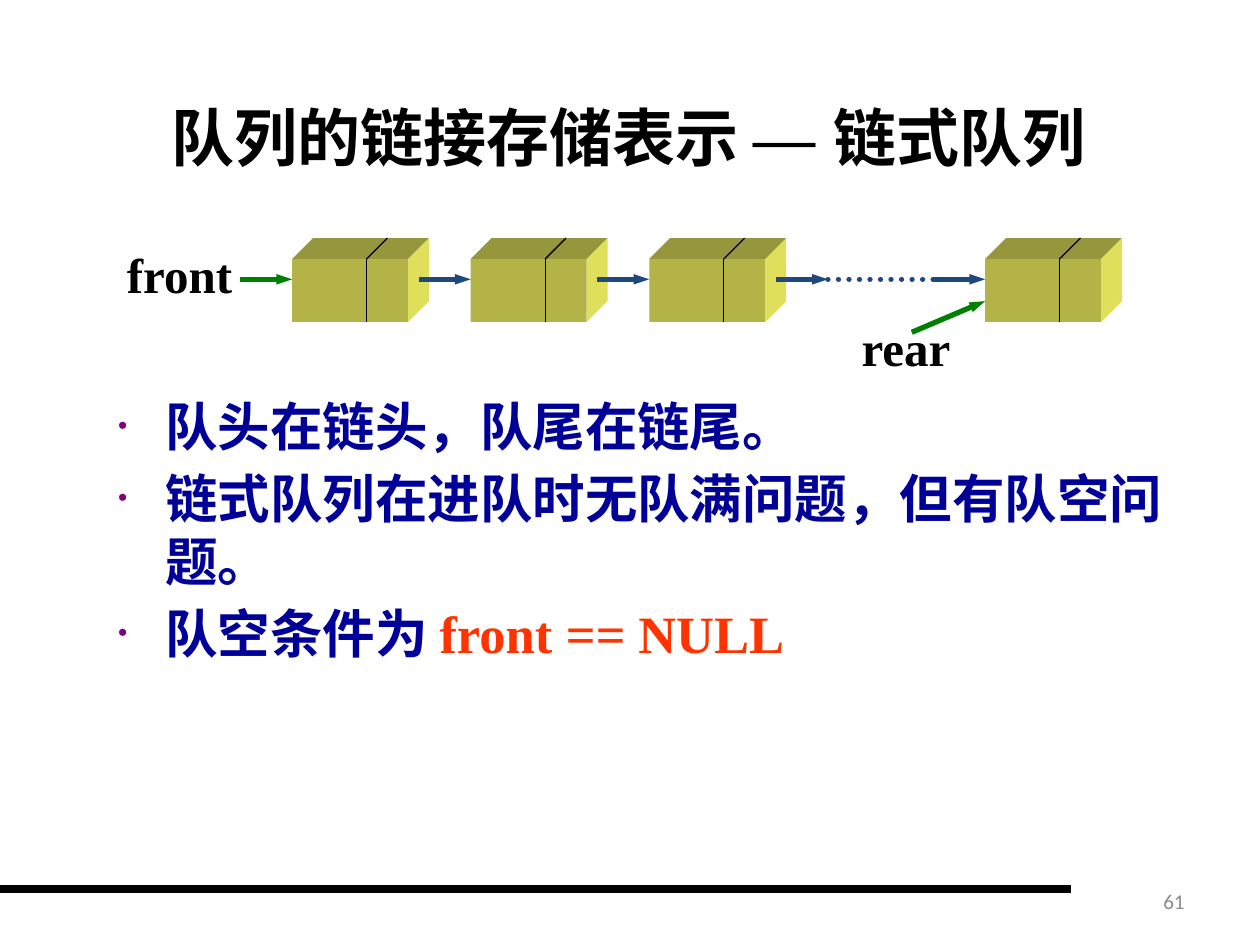
from lxml import etree
from pptx import Presentation
from pptx.dml.color import RGBColor
from pptx.enum.dml import MSO_LINE
from pptx.enum.shapes import MSO_CONNECTOR, MSO_SHAPE
from pptx.enum.text import MSO_ANCHOR, PP_ALIGN
from pptx.oxml.ns import qn
from pptx.util import Cm, Pt

STRAIGHT = MSO_CONNECTOR.STRAIGHT
RECTANGLE = MSO_SHAPE.RECTANGLE
DOTTED = MSO_LINE.ROUND_DOT
TOP, MIDDLE = MSO_ANCHOR.TOP, MSO_ANCHOR.MIDDLE
LEFT, CENTER, RIGHT = PP_ALIGN.LEFT, PP_ALIGN.CENTER, PP_ALIGN.RIGHT

COLORS = {
    "black": "000000", "front": "B4B347", "top": "96963C", "side": "DFDF5C",
    "pointer": "008000", "link": "1F497D", "body": "000099",
    "code": "FF3300", "bullet": "800080", "number": "8C8C8C",
}
CJK, SERIF = "Noto Sans CJK JP", "Times New Roman"
TITLE = {"name": CJK, "size": Pt(36), "bold": True}
BODY = {"name": "Calibri", "size": Pt(30), "bold": True}
CODE = {**BODY, "name": SERIF}
LABEL = {"name": SERIF, "size": Pt(28), "bold": True}
NUMBER = {"name": "Calibri", "size": Pt(12), "bold": False}

NODE_WIDTH, NODE_HEIGHT, DEPTH = 2.34, 1.27, 0.42
NODE_STEP, DIVIDER, LINK_START, LINK_LENGTH = 3.6, 1.5, 2.55, 1.05
LINK_DROP = 0.41


def color(name):
    return RGBColor.from_string(COLORS[name])


def add_run(paragraph, text, style, color_name):
    run = paragraph.add_run()
    run.text = text
    for attribute, value in style.items():
        setattr(run.font, attribute, value)
    run.font.color.rgb = color(color_name)
    east_asian = etree.SubElement(run.font._element, qn("a:ea"))
    east_asian.set("typeface", style["name"])


def add_text(slide, box, runs, alignment=LEFT, anchor=TOP, wrap=True):
    shape = slide.shapes.add_textbox(*map(Cm, box))
    frame = shape.text_frame
    frame.word_wrap = wrap
    frame.vertical_anchor = anchor
    paragraph = frame.paragraphs[0]
    paragraph.alignment = alignment
    for run in runs:
        add_run(paragraph, *run)
    return frame


def add_line(slide, start, end, color_name, width, arrow=False, dotted=False):
    line = slide.shapes.add_connector(STRAIGHT, *map(Cm, (*start, *end)))
    line.line.color.rgb = color(color_name)
    line.line.width = Pt(width)
    outline = line.line._get_or_add_ln()
    if dotted:
        line.line.dash_style = DOTTED
        outline.set("cap", "rnd")
    if arrow:
        head = etree.SubElement(outline, qn("a:tailEnd"))
        for key, value in {"type": "triangle", "w": "sm", "len": "med"}.items():
            head.set(key, value)
    etree.SubElement(line._element.spPr, qn("a:effectLst"))


def paint(shape, color_name):
    shape.shadow.inherit = False
    shape.fill.solid()
    shape.fill.fore_color.rgb = color(color_name)
    shape.line.fill.background()


def add_face(slide, points, color_name):
    corners = [(Cm(x), Cm(y)) for x, y in points]
    builder = slide.shapes.build_freeform(*corners[0])
    builder.add_line_segments(corners[1:], close=True)
    paint(builder.convert_to_shape(), color_name)


def add_node(slide, left, top):
    right, bottom = left + NODE_WIDTH, top + NODE_HEIGHT
    back_right, back_top = right + DEPTH, top - DEPTH
    middle = left + DIVIDER
    front = slide.shapes.add_shape(
        RECTANGLE, Cm(left), Cm(top), Cm(NODE_WIDTH), Cm(NODE_HEIGHT))
    paint(front, "front")
    add_face(slide, [(left, top), (left + DEPTH, back_top),
                     (back_right, back_top), (right, top)], "top")
    add_face(slide, [(right, top), (back_right, back_top),
                     (back_right, bottom - DEPTH), (right, bottom)], "side")
    add_line(slide, (middle, top), (middle, bottom), "black", 0.75)
    add_line(slide, (middle, top), (middle + DEPTH, back_top), "black", 0.75)


def add_linked_queue(slide, left, top):
    first = left + 3.58
    node_top = top + DEPTH
    link_y = node_top + LINK_DROP
    last = first + 13.97
    nodes = [first + index * NODE_STEP for index in range(3)]
    for node in [*nodes, last]:
        add_node(slide, node, node_top)

    link_starts = [node + LINK_START for node in nodes] + [last - LINK_LENGTH]
    for start in link_starts:
        add_line(slide, (start, link_y), (start + LINK_LENGTH, link_y),
                 "link", 3, arrow=True)
    add_line(slide, (link_starts[2] + LINK_LENGTH, link_y),
             (link_starts[3], link_y), "link", 3, dotted=True)

    add_line(slide, (first - LINK_LENGTH, link_y), (first, link_y),
             "pointer", 3, arrow=True)
    add_line(slide, (last - 1.48, top + 1.9), (last, top + 1.27),
             "pointer", 3, arrow=True)
    for text, x, y, width in [("front", left, top, 2.67),
                              ("rear", left + 14.81, top + 1.47, 2.31)]:
        add_text(slide, (x, y, width, 1.45), [(text, LABEL, "black")], wrap=False)


def format_bullet(paragraph):
    paragraph.space_before = Pt(5)
    properties = paragraph._p.get_or_add_pPr()
    properties.set("marL", str(Cm(0.95)))
    properties.set("indent", str(Cm(-0.95)))
    bullet_color = etree.SubElement(properties, qn("a:buClr"))
    etree.SubElement(bullet_color, qn("a:srgbClr")).set("val", COLORS["bullet"])
    etree.SubElement(properties, qn("a:buSzPct")).set("val", "50000")
    etree.SubElement(properties, qn("a:buFont")).set("typeface", "Arial")
    etree.SubElement(properties, qn("a:buChar")).set("char", "•")


def add_notes_list(slide, box):
    items = [
        [("队头在链头，队尾在链尾。", BODY, "body")],
        [("链式队列在进队时无队满问题，但有队空问题。", BODY, "body")],
        [("队空条件为 ", BODY, "body"), ("front ", CODE, "code"),
         ("==", {**CODE, "italic": True}, "code"), (" NULL", CODE, "code")],
    ]
    frame = add_text(slide, box, items[0])
    for runs in items[1:]:
        paragraph = frame.add_paragraph()
        for run in runs:
            add_run(paragraph, *run)
    for paragraph in frame.paragraphs:
        format_bullet(paragraph)


def add_title(slide, box):
    dash = {**TITLE, "name": "Arial", "bold": False}
    runs = [("队列的链接存储表示 ", TITLE, "black"), ("— ", dash, "black"),
            ("链式队列", TITLE, "black")]
    add_text(slide, box, runs, CENTER, MIDDLE)


def add_footer(slide, left, top):
    add_line(slide, (left, top), (left + 21.59, top), "black", 4.5)
    add_text(slide, (left + 18.21, top - 0.28, 5.92, 1.02),
             [("61", NUMBER, "number")], RIGHT, MIDDLE)


def main():
    presentation = Presentation()
    presentation.slide_width, presentation.slide_height = Cm(25.4), Cm(19.05)
    slide = presentation.slides.add_slide(presentation.slide_layouts[6])
    add_footer(slide, 0, 17.93)
    add_title(slide, (3.1, 1.6, 19.13, 2.31))
    add_notes_list(slide, (2.13, 7.82, 21.97, 6.81))
    add_linked_queue(slide, 2.31, 4.8)
    presentation.save("out.pptx")


if __name__ == "__main__":
    main()
